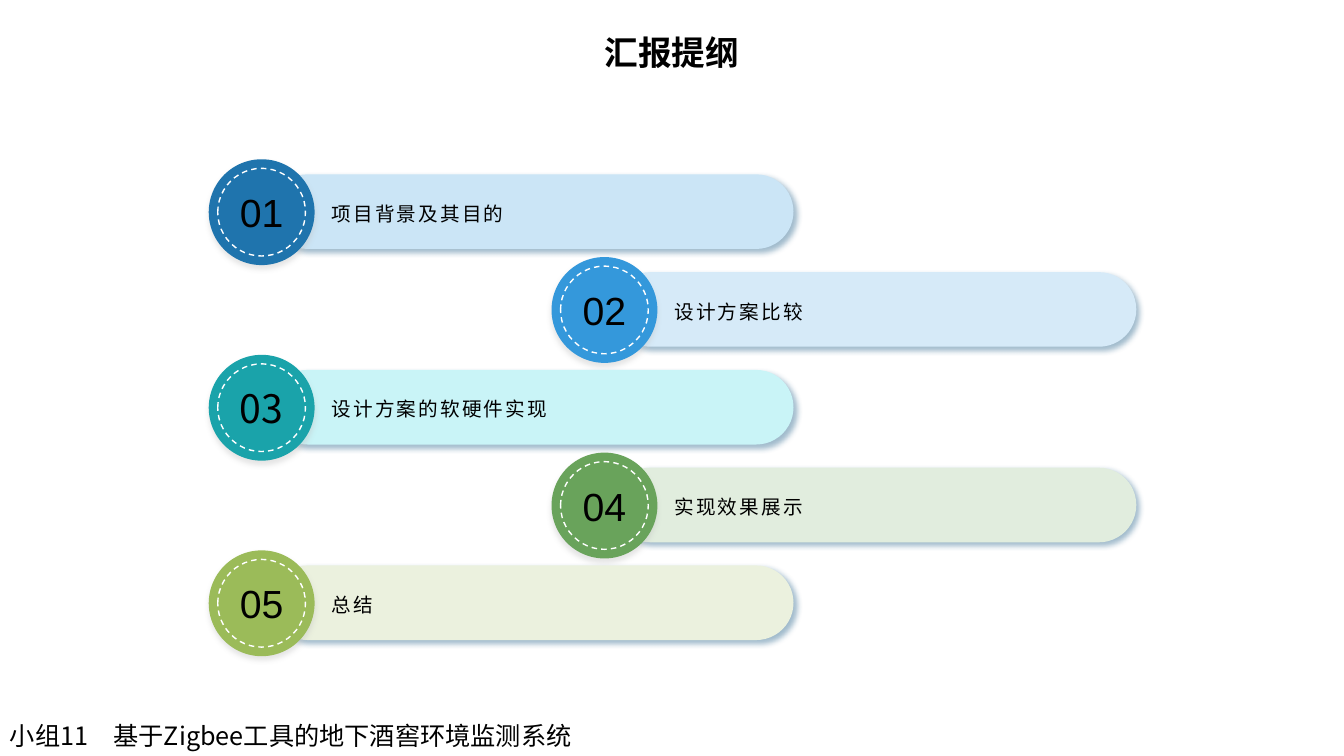
"""Build the report outline slide with five staggered agenda items."""
from lxml.etree import SubElement
from pptx import Presentation
from pptx.dml.color import RGBColor
from pptx.enum.dml import MSO_LINE
from pptx.enum.shapes import MSO_SHAPE
from pptx.enum.text import MSO_ANCHOR, PP_ALIGN
from pptx.oxml.ns import qn
from pptx.util import Pt

PX = 9144
SANS = "Noto Sans CJK SC"
BLACK = RGBColor(0x00, 0x00, 0x00)
WHITE = RGBColor(0xFF, 0xFF, 0xFF)
BAR_SHADOW = RGBColor(0x17, 0x57, 0x82)
DISC_SHADOW = RGBColor(0xBF, 0xBF, 0xBF)
ITEMS = [
    ("项目背景及其目的", "Arial", RGBColor(0x1F, 0x74, 0xAD), RGBColor(0xCB, 0xE5, 0xF6)),
    ("设计方案比较", "Arial", RGBColor(0x34, 0x98, 0xDB), RGBColor(0xD6, 0xEA, 0xF8)),
    ("设计方案的软硬件实现", SANS, RGBColor(0x1A, 0xA3, 0xAA), RGBColor(0xC9, 0xF4, 0xF7)),
    ("实现效果展示", "Arial", RGBColor(0x69, 0xA3, 0x5B), RGBColor(0xE1, 0xED, 0xDE)),
    ("总结", "Arial", RGBColor(0x9B, 0xBB, 0x59), RGBColor(0xEB, 0xF1, 0xDE)),
]
ROW_PITCH = 97

prs = Presentation()
prs.slide_width, prs.slide_height = 1333 * PX, 750 * PX
s = prs.slides.add_slide(prs.slide_layouts[6])


def add_item_shape(kind, x, y, w, h, fill=None, shadow=None, angle=0):
    sp = s.shapes.add_shape(kind, x * PX, y * PX, w * PX, h * PX)
    sp.shadow.inherit = False
    sp.line.fill.background()
    if fill is None:
        sp.fill.background()
    else:
        sp.fill.solid()
        sp.fill.fore_color.rgb = fill
    if shadow is not None:
        effects = sp.element.spPr.find(qn("a:effectLst"))
        outer = SubElement(effects, qn("a:outerShdw"), blurRad=str(Pt(4)), dist=str(Pt(3)),
                           dir=str(angle * 60000), algn="ctr", rotWithShape="0")
        clr = SubElement(outer, qn("a:srgbClr"), val=str(shadow))
        SubElement(clr, qn("a:alpha"), val="40000")
    return sp


def write_text(sp, text, size, font=SANS, align=PP_ALIGN.LEFT, anchor=MSO_ANCHOR.MIDDLE):
    tf = sp.text_frame
    tf.word_wrap = True
    tf.vertical_anchor = anchor
    tf.text = text
    p = tf.paragraphs[0]
    p.alignment = align
    r = p.runs[0]
    r.font.size = Pt(size)
    r.font.color.rgb = BLACK
    r.font.name = font
    SubElement(r.font._element, qn("a:ea"), typeface=SANS)
    return p


title = s.shapes.add_textbox(205 * PX, 13 * PX, 923 * PX, 69 * PX)
p = write_text(title, "汇报提纲", 24, align=PP_ALIGN.CENTER)
p.line_spacing = 1.2
p.runs[0].font.bold = True

for i, (label, number_font, disc_color, bar_color) in enumerate(ITEMS):
    x = 207 + i % 2 * 340
    y = 158 + i * ROW_PITCH
    bar = add_item_shape(MSO_SHAPE.ROUNDED_RECTANGLE, x + 61, y + 15, 519, 74,
                         bar_color, BAR_SHADOW, 45)
    bar.adjustments[0] = 0.5
    add_item_shape(MSO_SHAPE.OVAL, x, y, 105, 105, disc_color, DISC_SHADOW, 90)

    ring = add_item_shape(MSO_SHAPE.OVAL, x + 9, y + 9, 87, 87)
    ring.line.color.rgb = WHITE
    ring.line.width = Pt(1)
    ring.line.dash_style = MSO_LINE.DASH
    tf = ring.text_frame
    tf.margin_left = tf.margin_right = tf.margin_top = tf.margin_bottom = 0
    write_text(ring, f"{i + 1:02}", 28, number_font, PP_ALIGN.CENTER)

    box = s.shapes.add_textbox((x + 112) * PX, (y + 27) * PX, 429 * PX, 49 * PX)
    p = write_text(box, label, 14)
    p.line_spacing = 1.2
    p.runs[0].font._element.set("spc", "150")

footer = s.shapes.add_textbox(0, 710 * PX, 908 * PX, 40 * PX)
write_text(footer, "小组11　基于Zigbee工具的地下酒窖环境监测系统", 18, anchor=MSO_ANCHOR.TOP)

prs.save("out.pptx")
